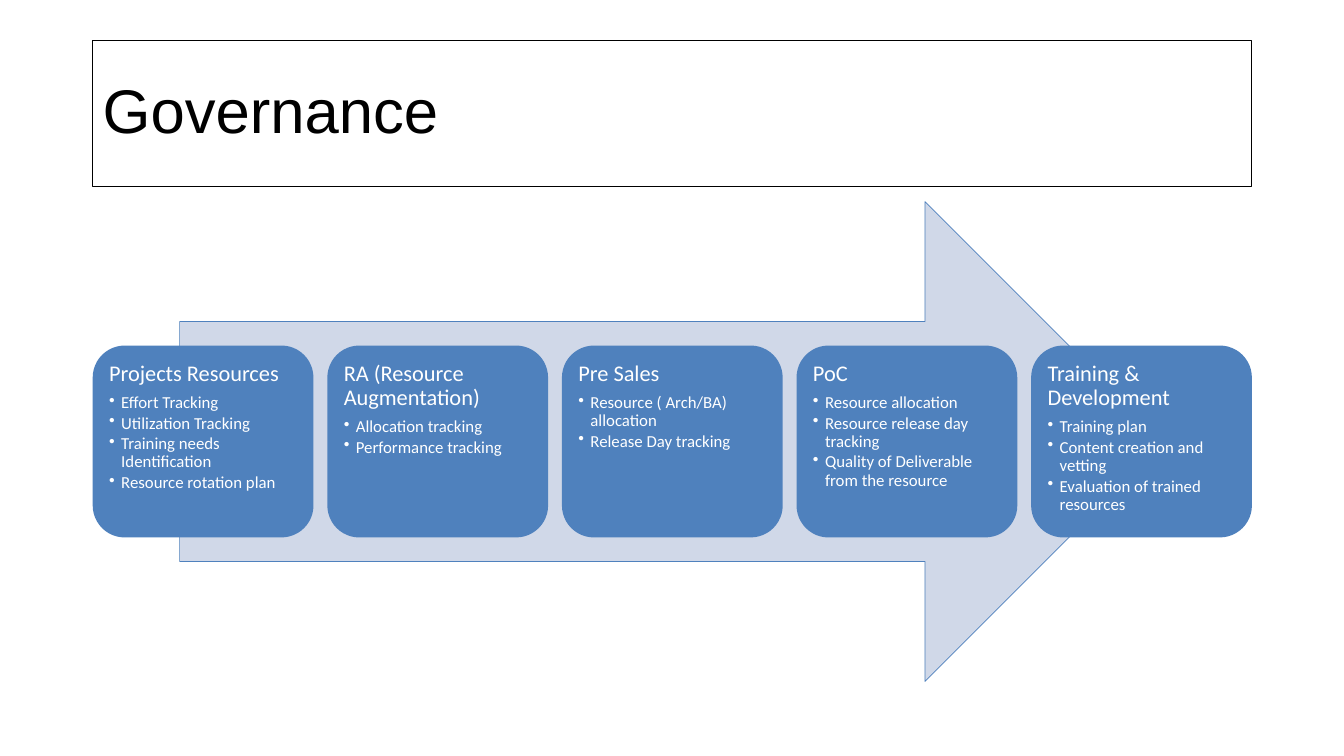
from dataclasses import dataclass

from lxml import etree
from pptx import Presentation
from pptx import util as u
from pptx.dml import color
from pptx.enum import shapes, text
from pptx.oxml import ns


@dataclass(frozen=True)
class Theme:
    ink: str = "000000"
    white: str = "FFFFFF"
    blue: str = "4F81BD"
    pale: str = "D0D8E8"
    title_font: str = "Arial"
    body_font: str = "Calibri"
    title_size: int = 44
    heading_size: int = 16
    bullet_size: int = 12
    leading: float = 0.9
    heading_gap: float = 0.35  # space after, as a share of the type size
    bullet_gap: float = 0.15


@dataclass(frozen=True)
class Box:
    """Place and size in percent of the slide's width and height."""
    left: float
    top: float
    width: float
    height: float

    def centred(self, width_share: float, height_share: float) -> "Box":
        w, h = self.width * width_share, self.height * height_share
        return Box(self.left + (self.width - w) / 2,
                   self.top + (self.height - h) / 2, w, h)

    def column(self, index: int, count: int, gap: float) -> "Box":
        w = (self.width - gap * (count - 1)) / count
        return Box(self.left + index * (w + gap), self.top, w, self.height)


@dataclass(frozen=True)
class Card:
    heading: str
    bullets: tuple[str, ...]


THEME = Theme()
SLIDE_W, SLIDE_H = u.Inches(13.33), u.Inches(7.5)
TITLE_BOX = Box(6.9, 5.33, 86.25, 19.33)
PROCESS = Box(6.9, 26.67, 86.25, 63.47)
ARROW_WIDTH, CARD_HEIGHT = 0.85, 0.4  # shares of the process area
CARD_GAP = 1.03
CARD_INSET = u.Inches(0.07)
BULLET_INDENT = u.Inches(0.12)

CARDS = (
    Card("Projects Resources",
         ("Effort Tracking", "Utilization Tracking",
          "Training needs Identification", "Resource rotation plan")),
    Card("RA (Resource Augmentation)",
         ("Allocation tracking", "Performance tracking")),
    Card("Pre Sales",
         ("Resource ( Arch/BA) allocation", "Release Day tracking")),
    Card("PoC",
         ("Resource allocation", "Resource release day tracking",
          "Quality of Deliverable from the resource")),
    Card("Training & Development",
         ("Training plan", "Content creation and vetting",
          "Evaluation of trained resources")),
)


def add_shape(s, kind, box: Box, fill: str = "", line: str = "",
              line_width: float = 0):
    sp = s.shapes.add_shape(
        kind, int(SLIDE_W * box.left / 100), int(SLIDE_H * box.top / 100),
        int(SLIDE_W * box.width / 100), int(SLIDE_H * box.height / 100))
    sp.shadow.inherit = False
    if fill:
        sp.fill.solid()
        sp.fill.fore_color.rgb = color.RGBColor.from_string(fill)
    else:
        sp.fill.background()
    if line:
        sp.line.color.rgb = color.RGBColor.from_string(line)
        sp.line.width = u.Pt(line_width)
    else:
        sp.line.fill.background()
    return sp


def write(p, words: str, font: str, size: int, ink: str, gap: float = 0) -> None:
    p.alignment = text.PP_ALIGN.LEFT
    p.line_spacing = THEME.leading
    p.space_after = u.Pt(size * gap)
    r = p.add_run()
    r.text = words
    r.font.name, r.font.size = font, u.Pt(size)
    r.font.color.rgb = color.RGBColor.from_string(ink)


def add_bullet(p) -> None:
    p.level = 1
    p_pr = p._p.get_or_add_pPr()
    p_pr.set("marL", str(BULLET_INDENT))
    p_pr.set("indent", str(-BULLET_INDENT))
    etree.SubElement(p_pr, ns.qn("a:buChar")).set("char", "•")


def add_title(s, words: str) -> None:
    sp = add_shape(s, shapes.MSO_SHAPE.RECTANGLE, TITLE_BOX,
                   line=THEME.ink, line_width=0.75)
    tf = sp.text_frame
    tf.word_wrap = True
    tf.vertical_anchor = text.MSO_ANCHOR.MIDDLE
    write(tf.paragraphs[0], words, THEME.title_font, THEME.title_size, THEME.ink)


def add_card(s, card: Card, box: Box) -> None:
    sp = add_shape(s, shapes.MSO_SHAPE.ROUNDED_RECTANGLE, box, fill=THEME.blue)
    tf = sp.text_frame
    tf.word_wrap = True
    tf.vertical_anchor = text.MSO_ANCHOR.TOP
    tf.margin_left = tf.margin_right = CARD_INSET
    tf.margin_top = tf.margin_bottom = CARD_INSET
    write(tf.paragraphs[0], card.heading, THEME.body_font,
          THEME.heading_size, THEME.white, THEME.heading_gap)
    for bullet in card.bullets:
        p = tf.add_paragraph()
        write(p, bullet, THEME.body_font, THEME.bullet_size, THEME.white,
              THEME.bullet_gap)
        add_bullet(p)


def main() -> None:
    prs = Presentation()
    prs.slide_width, prs.slide_height = SLIDE_W, SLIDE_H
    s = prs.slides.add_slide(prs.slide_layouts[6])

    # Title
    add_title(s, "Governance")

    # Arrow behind the cards
    add_shape(s, shapes.MSO_SHAPE.RIGHT_ARROW, PROCESS.centred(ARROW_WIDTH, 1),
              fill=THEME.pale, line=THEME.blue, line_width=0.5)

    # Row of cards
    row = PROCESS.centred(1, CARD_HEIGHT)
    for i, card in enumerate(CARDS):
        add_card(s, card, row.column(i, len(CARDS), CARD_GAP))

    prs.save("out.pptx")


if __name__ == "__main__":
    main()
